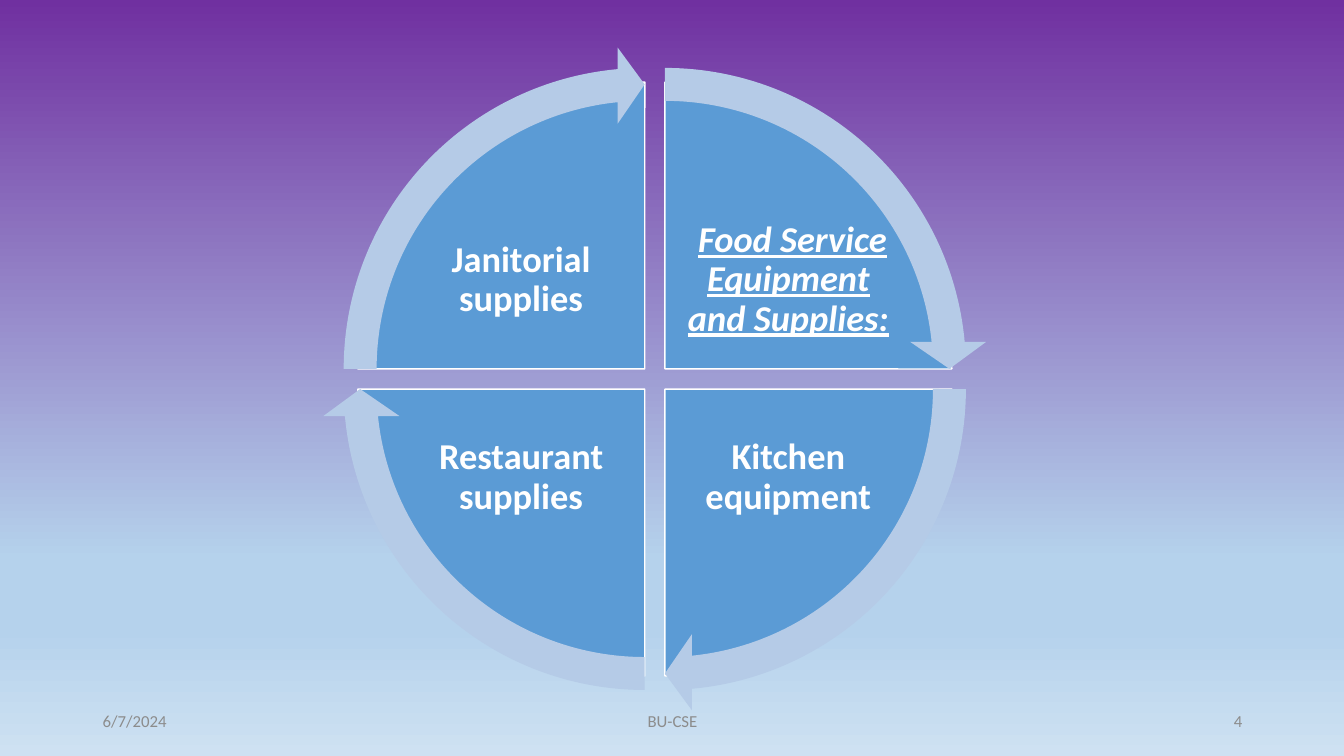
from copy import deepcopy

from pptx import Presentation
from pptx import util as u
from pptx.dml.color import RGBColor
from pptx.enum import shapes, text

# Content: quadrants clockwise from top right, as (side x, side y, runs)
QUADRANTS = [
    (1, -1, [(" ", False), ("Food Service Equipment and Supplies:", True)]),
    (1, 1, [("Kitchen equipment", False)]),
    (-1, 1, [("Restaurant supplies", False)]),
    (-1, -1, [("Janitorial supplies", False)]),
]
FOOTERS = [
    ("6/7/2024", 0.92, 3, text.PP_ALIGN.LEFT),
    ("BU-CSE", 4.42, 4.5, text.PP_ALIGN.CENTER),
    ("4", 9.42, 3, text.PP_ALIGN.RIGHT),
]
COLORS = {"pie": "5B9BD5", "arrow": "B5CBE7", "label": "FFFFFF", "footer": "8C8C8C"}
BACKGROUND = [(0, "7030A0"), (0.74, "B5D2EC"), (0.83, "B5D2EC"), (1, "CEE1F2")]

# Geometry in inches; angles in the units of shape adjustments
WIDTH, HEIGHT = 13.33, 7.5
CENTER_X, CENTER_Y = 6.495, 3.76
HALF_GAP = 0.1
PIE_SIZE, ARROW_SIZE = 5.69, 6.4
LABEL_W, LABEL_H = 2.1, 1.56
LABEL_DX, LABEL_DY = 1.325, 0.98
FULL_TURN, QUARTER, TOP = 216, 54, 162
ARROW_SWEEP = 50.725


def rgb(name):
    return RGBColor.from_string(COLORS[name])


def centered(x, y, width, height):
    return [u.Inches(v) for v in (x - width / 2, y - height / 2, width, height)]


def add_text(page, runs, bounds, *, size, color, align, bold=False, inset=0.1, spacing=1.0):
    box = page.shapes.add_textbox(*bounds)
    frame = box.text_frame
    frame.word_wrap = True
    frame.vertical_anchor = text.MSO_ANCHOR.MIDDLE
    frame.margin_left = frame.margin_right = u.Inches(inset)
    frame.margin_top = frame.margin_bottom = u.Inches(min(inset, 0.05))
    para = frame.paragraphs[0]
    para.alignment = align
    para.line_spacing = spacing
    for words, emphasized in runs:
        span = para.add_run()
        span.text = words
        span.font.name = "Calibri"
        span.font.size = u.Pt(size)
        span.font.bold = bold
        span.font.color.rgb = rgb(color)
        if emphasized:
            span.font.italic = span.font.underline = True


def add_sector(page, kind, bounds, color, adjustments):
    sector = page.shapes.add_shape(kind, *bounds)
    sector.shadow.inherit = False
    sector.fill.solid()
    sector.fill.fore_color.rgb = rgb(color)
    sector.line.fill.background()
    for index, value in enumerate(adjustments):
        sector.adjustments[index] = value
    return sector


def paint_background(page):
    fill = page.background.fill
    fill.gradient()
    fill.gradient_angle = 270
    stop_list = page.element.xpath(".//a:gsLst")[0]
    while len(stop_list) < len(BACKGROUND):
        stop_list.append(deepcopy(stop_list[0]))
    for stop, (position, color) in zip(fill.gradient_stops, BACKGROUND):
        stop.position = position
        stop.color.rgb = RGBColor.from_string(color)


def main():
    deck = Presentation()
    deck.slide_width, deck.slide_height = u.Inches(WIDTH), u.Inches(HEIGHT)
    page = deck.slides.add_slide(deck.slide_layouts[6])
    paint_background(page)

    # Pie quarters with their labels
    arrows = []
    for index, (side_x, side_y, runs) in enumerate(QUADRANTS):
        x, y = CENTER_X + side_x * HALF_GAP, CENTER_Y + side_y * HALF_GAP
        start = (TOP + index * QUARTER) % FULL_TURN
        pie = add_sector(page, shapes.MSO_SHAPE.PIE, centered(x, y, PIE_SIZE, PIE_SIZE),
                         "pie", [start, (start + QUARTER) % FULL_TURN])
        pie.line.color.rgb = rgb("label")
        pie.line.width = u.Pt(1)
        label = centered(CENTER_X + side_x * LABEL_DX, CENTER_Y + side_y * LABEL_DY,
                         LABEL_W, LABEL_H)
        add_text(page, runs, label, size=26, color="label", bold=True,
                 align=text.PP_ALIGN.CENTER, inset=0.04, spacing=0.9)
        arrows.append((x, y, start))

    # Arrows around the wheel, in front of every quarter
    for x, y, start in arrows:
        add_sector(page, shapes.MSO_SHAPE.CIRCULAR_ARROW,
                   centered(x, y, ARROW_SIZE, ARROW_SIZE), "arrow",
                   [0.051, 3.275, start + ARROW_SWEEP, start, 0.059])

    # Footer line
    for words, left, width, align in FOOTERS:
        bounds = [u.Inches(v) for v in (left, 6.95, width, 0.4)]
        add_text(page, [(words, False)], bounds, size=12, color="footer", align=align)

    deck.save("out.pptx")


if __name__ == "__main__":
    main()
